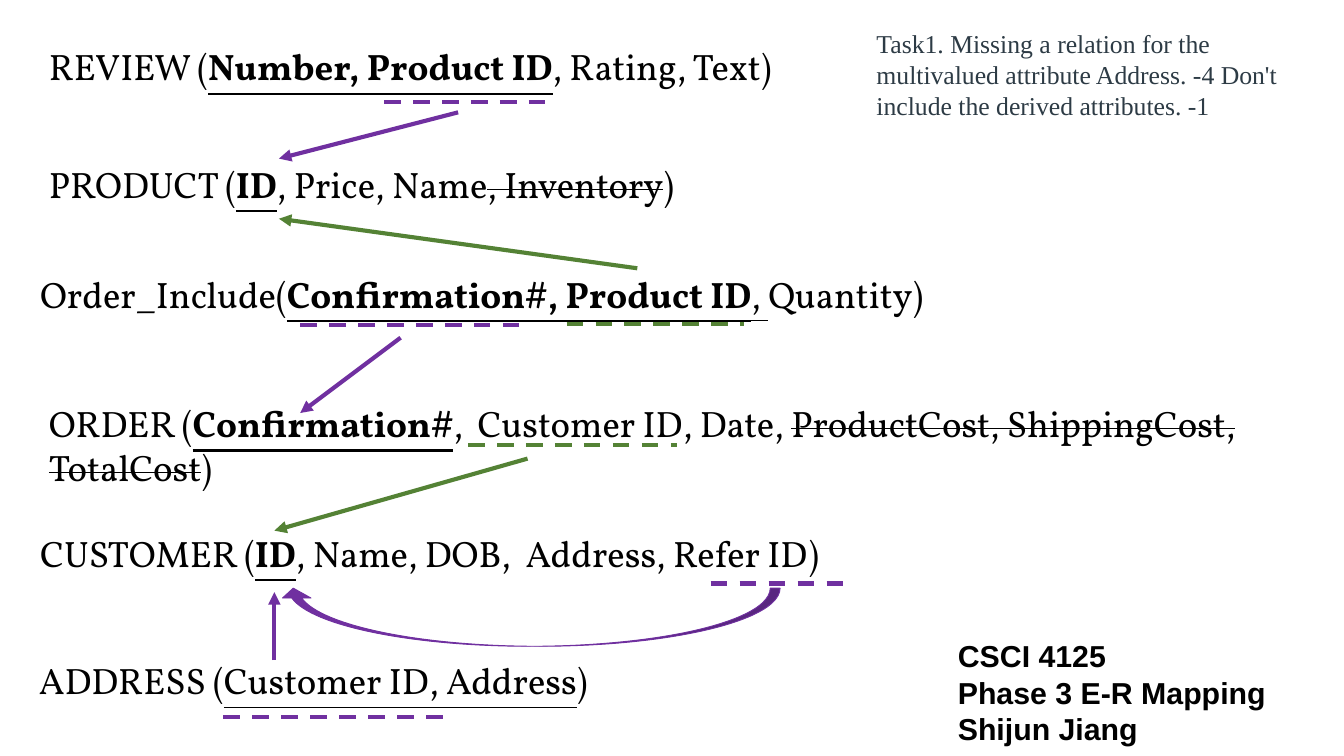
"""Build the relational mapping slide with its key references."""
from dataclasses import dataclass

from lxml import etree
from pptx import Presentation
from pptx import util as u
from pptx.dml.color import RGBColor
from pptx.enum import dml, shapes
from pptx.oxml import ns
from pptx.slide import Slide

BLACK = RGBColor(0x00, 0x00, 0x00)
PURPLE = RGBColor(0x70, 0x30, 0xA0)
GREEN = RGBColor(0x54, 0x82, 0x35)
SLATE = RGBColor(0x2D, 0x3B, 0x45)


@dataclass(frozen=True)
class Span:
    text: str
    bold: bool = False
    underline: bool = False
    strike: bool = False


@dataclass(frozen=True)
class TextBlock:
    left: float
    top: float
    width: float
    height: float
    paragraphs: list[list[Span]]
    font: str = "Vollkorn"
    size: int = 40
    color: RGBColor = BLACK
    bold: bool = False


@dataclass(frozen=True)
class Reference:
    start: tuple[float, float]
    end: tuple[float, float]
    color: RGBColor


@dataclass(frozen=True)
class ForeignKey:
    left: float
    right: float
    y: float
    color: RGBColor


def key(text: str) -> Span:
    return Span(text, bold=True, underline=True)


def relation(left: float, top: float, width: float, *spans: Span, height: float = 0.77) -> TextBlock:
    return TextBlock(left, top, width, height, [list(spans)])


TEXT_BLOCKS = [
    TextBlock(14.39, 9.6, 5.71, 1.76,
              [[Span("CSCI 4125")], [Span("Phase 3 E-R Mapping")], [Span("Shijun Jiang")]],
              font="Arial", size=33, bold=True),
    TextBlock(13.16, 0.37, 6.59, 1.51,
              [[Span("Task1. Missing a relation for the multivalued attribute Address. -4 "
                     "Don't include the derived attributes. -1")]],
              font="Times New Roman", size=28, color=SLATE),
    relation(0.64, 0.62, 13.44, Span("REVIEW ("), key("Number, Product ID"), Span(", Rating, Text)")),
    relation(0.64, 2.4, 10.11, Span("PRODUCT ("), key("ID"), Span(", Price, Name"),
             Span(", Inventory", strike=True), Span(")")),
    relation(0.51, 4.06, 16.84, Span("Order_Include("), key("Confirmation#, Product ID"),
             Span(", ", underline=True), Span("Quantity)")),
    relation(0.64, 6.02, 18.67, Span("ORDER ("), key("Confirmation#"),
             Span(",  Customer ID, Date, "),
             Span("ProductCost, ShippingCost, TotalCost", strike=True), Span(")"), height=1.45),
    relation(0.51, 7.98, 13.44, Span("CUSTOMER ("), key("ID"),
             Span(", Name, DOB,  Address, Refer ID)")),
    relation(0.49, 9.91, 10.17, Span("ADDRESS ("),
             Span("Customer ID, Address", underline=True), Span(")")),
]

FOREIGN_KEYS = [
    ForeignKey(5.81, 8.35, 1.54, PURPLE),
    ForeignKey(8.57, 11.25, 4.9, GREEN),
    ForeignKey(4.54, 7.98, 4.92, PURPLE),
    ForeignKey(7.08, 10.24, 6.74, GREEN),
    ForeignKey(10.75, 12.85, 8.83, PURPLE),
    ForeignKey(3.38, 6.82, 10.85, PURPLE),
]

REFERENCES = [
    Reference((6.93, 1.7), (4.22, 2.4), PURPLE),
    Reference((9.64, 4.06), (4.22, 3.31), GREEN),
    Reference((6.06, 5.11), (4.54, 6.25), PURPLE),
    Reference((7.98, 6.94), (4.15, 8.03), GREEN),
    Reference((4.15, 9.99), (4.15, 8.96), PURPLE),
]


def add_text(slide: Slide, block: TextBlock) -> None:
    box = slide.shapes.add_textbox(*map(u.Inches, (block.left, block.top, block.width, block.height)))
    frame = box.text_frame
    frame.word_wrap = True
    for index, spans in enumerate(block.paragraphs):
        paragraph = frame.add_paragraph() if index else frame.paragraphs[0]
        paragraph.font.name = block.font
        paragraph.font.size = u.Pt(block.size)
        paragraph.font.color.rgb = block.color
        paragraph.font.bold = block.bold
        for span in spans:
            run = paragraph.add_run()
            run.text = span.text
            if span.bold:
                run.font.bold = True
            if span.underline:
                run.font.underline = True
            if span.strike:
                run.font._element.set("strike", "sngStrike")


def add_line(slide: Slide, start: tuple[float, float], end: tuple[float, float],
             color: RGBColor, dashed: bool = False) -> None:
    connector = slide.shapes.add_connector(
        shapes.MSO_CONNECTOR.STRAIGHT, *map(u.Inches, (*start, *end)))
    connector.line.color.rgb = color
    connector.line.width = u.Pt(4.5)
    if dashed:
        connector.line.dash_style = dml.MSO_LINE.DASH
    else:
        etree.SubElement(connector.line._get_or_add_ln(), ns.qn("a:tailEnd"), type="triangle")
    etree.SubElement(connector._element.spPr, ns.qn("a:effectLst"))


def add_self_reference(slide: Slide) -> None:
    arrow = slide.shapes.add_shape(
        shapes.MSO_SHAPE.CURVED_DOWN_ARROW, *map(u.Inches, (4.22, 8.9, 7.58, 0.88)))
    for index, value in enumerate((0.17, 0.49, 0.17)):
        arrow.adjustments[index] = value
    arrow.rotation = 180
    arrow.shadow.inherit = False
    arrow.fill.solid()
    arrow.fill.fore_color.rgb = PURPLE
    arrow.line.color.rgb = PURPLE
    arrow.line.width = u.Pt(1)


def main() -> None:
    presentation = Presentation()
    presentation.slide_width = u.Inches(20.33)
    presentation.slide_height = u.Inches(11.44)
    slide = presentation.slides.add_slide(presentation.slide_layouts[6])
    for block in TEXT_BLOCKS:
        add_text(slide, block)
    for foreign_key in FOREIGN_KEYS:
        add_line(slide, (foreign_key.left, foreign_key.y), (foreign_key.right, foreign_key.y),
                 foreign_key.color, dashed=True)
    for reference in REFERENCES:
        add_line(slide, reference.start, reference.end, reference.color)
    add_self_reference(slide)
    presentation.save("out.pptx")


if __name__ == "__main__":
    main()
